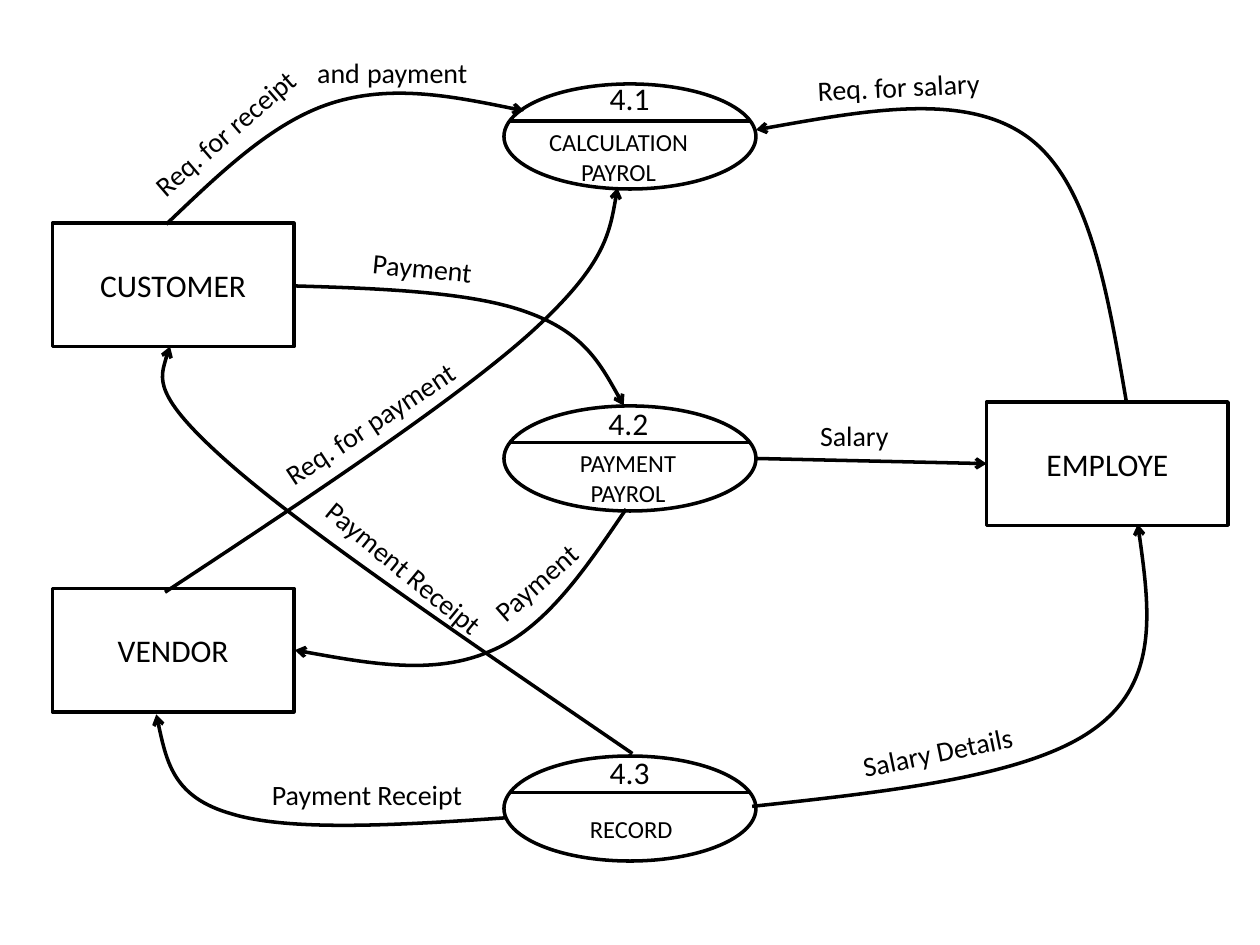
from lxml.etree import SubElement
from pptx import Presentation
from pptx.dml.color import RGBColor
from pptx.enum.shapes import MSO_CONNECTOR, MSO_SHAPE
from pptx.enum.text import MSO_ANCHOR, MSO_AUTO_SIZE, PP_ALIGN
from pptx.oxml.ns import qn
from pptx.util import Pt

BLACK = RGBColor(0, 0, 0)
WHITE = RGBColor(255, 255, 255)
FONT = "Calibri"
LINE_WIDTH = 2

PROCESS_LEFT, PROCESS_WIDTH, PROCESS_HEIGHT = 288, 144, 60
DIVIDER_INSET, DIVIDER_DROP = 3, 21
ENTITY_WIDTH, ENTITY_HEIGHT = 138, 70.5
LABEL_HEIGHT = 26.64

PROCESSES = [
    {"top": 48, "number": "4.1", "number_at": (341.3, 41.8),
     "name": "CALCULATION\nPAYROL", "name_at": (306, 69.1, 95, 41)},
    {"top": 232, "number": "4.2", "number_at": (340.6, 227.5),
     "name": "PAYMENT\nPAYROL", "name_at": (324, 252.7, 69.8, 41)},
    {"top": 432, "number": "4.3", "number_at": (341.3, 427),
     "name": "RECORD", "name_at": (329.8, 461.5, 61.9, 24.5)},
]

ENTITIES = [("CUSTOMER", 30, 127.5), ("VENDOR", 30, 336.3), ("EMPLOYE", 563.8, 229.7)]

FLOWS = [
    [(95, 128.2), (125.3, 99.4), (155.5, 69.8), (189.4, 59),
     (223.2, 48.2), (261.4, 55.4), (299.5, 63.4)],
    [(643.7, 229.7), (632.9, 167), (622.8, 104.4), (587.5, 78.5),
     (552.2, 52.6), (492.5, 63.4), (432, 74.2)],
    [(168.5, 163.4), (219.6, 164.9), (270.7, 167), (301.7, 178.6),
     (333.4, 190.1), (344.9, 211), (356.4, 231.8)],
    [(94.3, 338.4), (176.4, 284.4), (258.5, 229.7), (301.7, 191.5),
     (344.9, 152.6), (349.2, 130.3), (352.8, 107.3)],
    [(289.4, 467.3), (227.5, 471.6), (165.6, 475.2), (132.5, 465.1),
     (99.4, 455.8), (94.3, 432), (89.3, 408.2)],
    [(357.8, 290.9), (334.8, 324.7), (311.8, 359.3), (280.1, 372.2),
     (248.4, 385.9), (208.1, 378.7), (168.5, 371.5)],
    [(429.8, 460.8), (509.8, 452.2), (589, 443.5), (625.7, 416.2),
     (662.4, 389.5), (656.6, 344.2), (650.2, 299.5)],
    [(361.4, 430.6), (267.8, 366.5), (174.2, 303.1), (130.3, 264.2),
     (86.4, 225.4), (92.2, 211.7), (97.2, 198)],
]

LABELS = [
    ("Req. for receipt", 71.3, 61.9, 115.9, 319.2),
    ("Req. for salary", 460.1, 36, 108, 357.2),
    ("Salary", 461.5, 235.4, 54, 0),
    ("Req. for payment", 148.3, 228.2, 127.4, 326.6),
    ("Payment", 205.9, 139.7, 72, 5.4),
    ("Payment", 270.7, 319, 72, 318.6),
    ("Payment Receipt", 148.3, 440.6, 124.6, 0),
    ("Salary Details", 485.3, 416.2, 102.2, 348.4),
    ("Payment Receipt", 169.2, 311.8, 124.6, 39.4),
]
MIXED_LABEL = [("and", 16), (" ", 18), ("payment", 16)]


def write(frame, text, size=16, align=PP_ALIGN.LEFT):
    lines = [[(line, size)] for line in text.split("\n")] if isinstance(text, str) else [text]
    for index, spans in enumerate(lines):
        para = frame.add_paragraph() if index else frame.paragraphs[0]
        para.alignment = align
        for words, points in spans:
            span = para.add_run()
            span.text = words
            span.font.name = FONT
            span.font.size = Pt(points)
            span.font.color.rgb = BLACK


def add_text(page, text, left, top, width, height, angle=0, **style):
    box = page.shapes.add_textbox(Pt(left), Pt(top), Pt(width), Pt(height))
    box.rotation = angle
    box.text_frame.word_wrap = False
    box.text_frame.auto_size = MSO_AUTO_SIZE.SHAPE_TO_FIT_TEXT
    write(box.text_frame, text, **style)


def add_outlined(page, kind, left, top, width, height):
    shape = page.shapes.add_shape(kind, Pt(left), Pt(top), Pt(width), Pt(height))
    shape.shadow.inherit = False
    shape.fill.solid()
    shape.fill.fore_color.rgb = WHITE
    draw_line(shape)
    return shape


def draw_line(shape, arrow=False):
    shape.line.color.rgb = BLACK
    shape.line.width = Pt(LINE_WIDTH)
    if arrow:
        SubElement(shape.line._get_or_add_ln(), qn("a:tailEnd"), type="arrow")


def add_straight(page, start, end, arrow=False):
    line = page.shapes.add_connector(
        MSO_CONNECTOR.STRAIGHT, *(Pt(value) for value in start + end))
    draw_line(line, arrow)
    SubElement(line._element.spPr, qn("a:effectLst"))
    return line


def bezier(points, t):
    weights = ((1 - t) ** 3, 3 * t * (1 - t) ** 2, 3 * t * t * (1 - t), t ** 3)
    return tuple(sum(weight * point[axis] for weight, point in zip(weights, points))
                 for axis in (0, 1))


def add_curve(page, points):
    traced = [bezier(points[first:first + 4], step / 20)
              for first in range(0, len(points) - 1, 3) for step in range(21)]
    traced = [(Pt(x), Pt(y)) for x, y in traced]
    builder = page.shapes.build_freeform(*traced[0])
    builder.add_line_segments(traced[1:], close=False)
    curve = builder.convert_to_shape()
    outline = curve._element.spPr.find(".//" + qn("a:path"))
    for segment in outline.findall(qn("a:lnTo")):
        outline.remove(segment)
    for first in range(1, len(points), 3):
        segment = SubElement(outline, qn("a:cubicBezTo"))
        for x, y in points[first:first + 3]:
            SubElement(segment, qn("a:pt"),
                       x=str(Pt(x) - curve.left), y=str(Pt(y) - curve.top))
    curve.shadow.inherit = False
    curve.fill.background()
    draw_line(curve, arrow=True)


def main():
    deck = Presentation()
    deck.slide_width, deck.slide_height = Pt(720), Pt(540)
    page = deck.slides.add_slide(deck.slide_layouts[6])

    for process in PROCESSES:
        add_outlined(page, MSO_SHAPE.OVAL, PROCESS_LEFT, process["top"],
                     PROCESS_WIDTH, PROCESS_HEIGHT)
        level = process["top"] + DIVIDER_DROP
        add_straight(page, (PROCESS_LEFT + DIVIDER_INSET, level),
                     (PROCESS_LEFT + PROCESS_WIDTH - DIVIDER_INSET, level))
        add_text(page, process["number"], *process["number_at"], 37.4, 29, size=18)
        add_text(page, process["name"], *process["name_at"], size=14, align=PP_ALIGN.CENTER)

    entities = {}
    for name, left, top in ENTITIES:
        box = add_outlined(page, MSO_SHAPE.RECTANGLE, left, top, ENTITY_WIDTH, ENTITY_HEIGHT)
        box.text_frame.vertical_anchor = MSO_ANCHOR.MIDDLE
        write(box.text_frame, name, size=18, align=PP_ALIGN.CENTER)
        entities[name] = box

    for points in FLOWS:
        add_curve(page, points)
    salary = add_straight(page, (432, 262), (563.8, 265), arrow=True)
    salary.end_connect(entities["EMPLOYE"], 1)

    for text, left, top, width, angle in LABELS:
        add_text(page, text, left, top, width, LABEL_HEIGHT, angle)
    add_text(page, MIXED_LABEL, 174.2, 25.9, 104.4, 29)

    deck.save("out.pptx")


if __name__ == "__main__":
    main()
